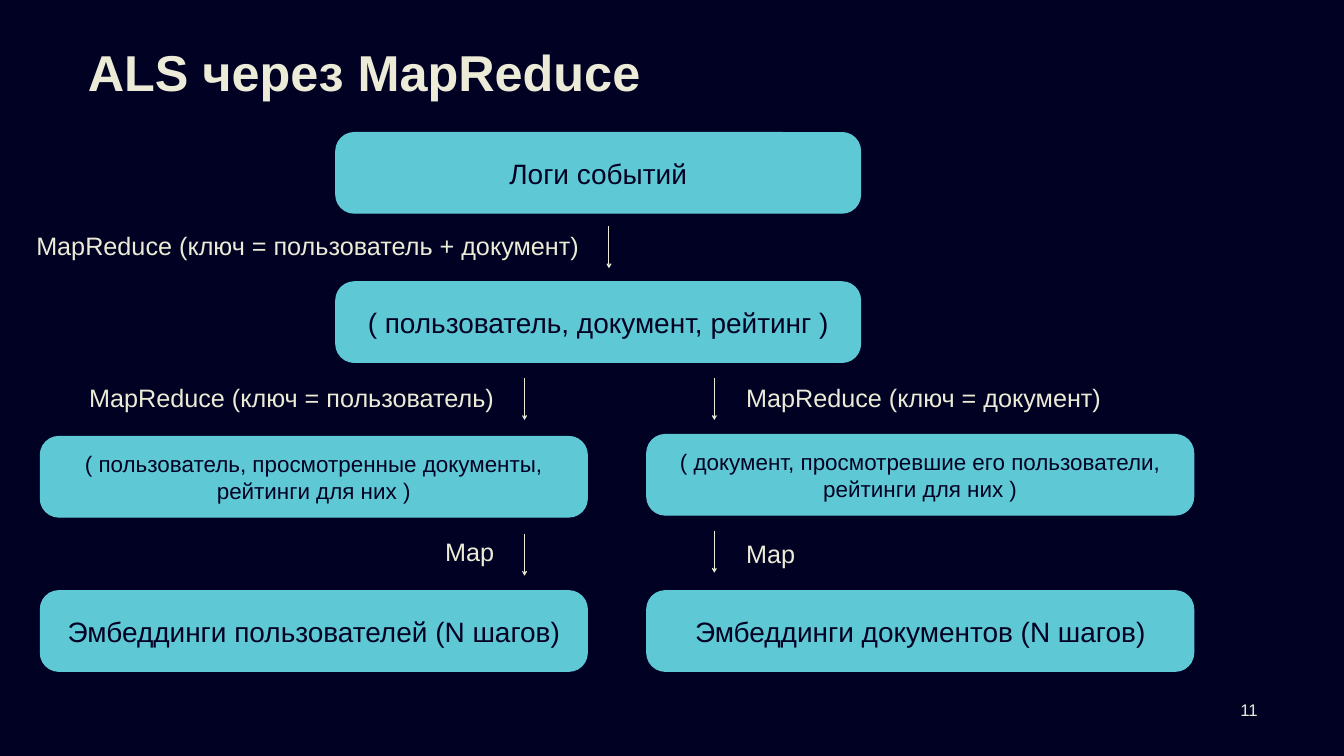
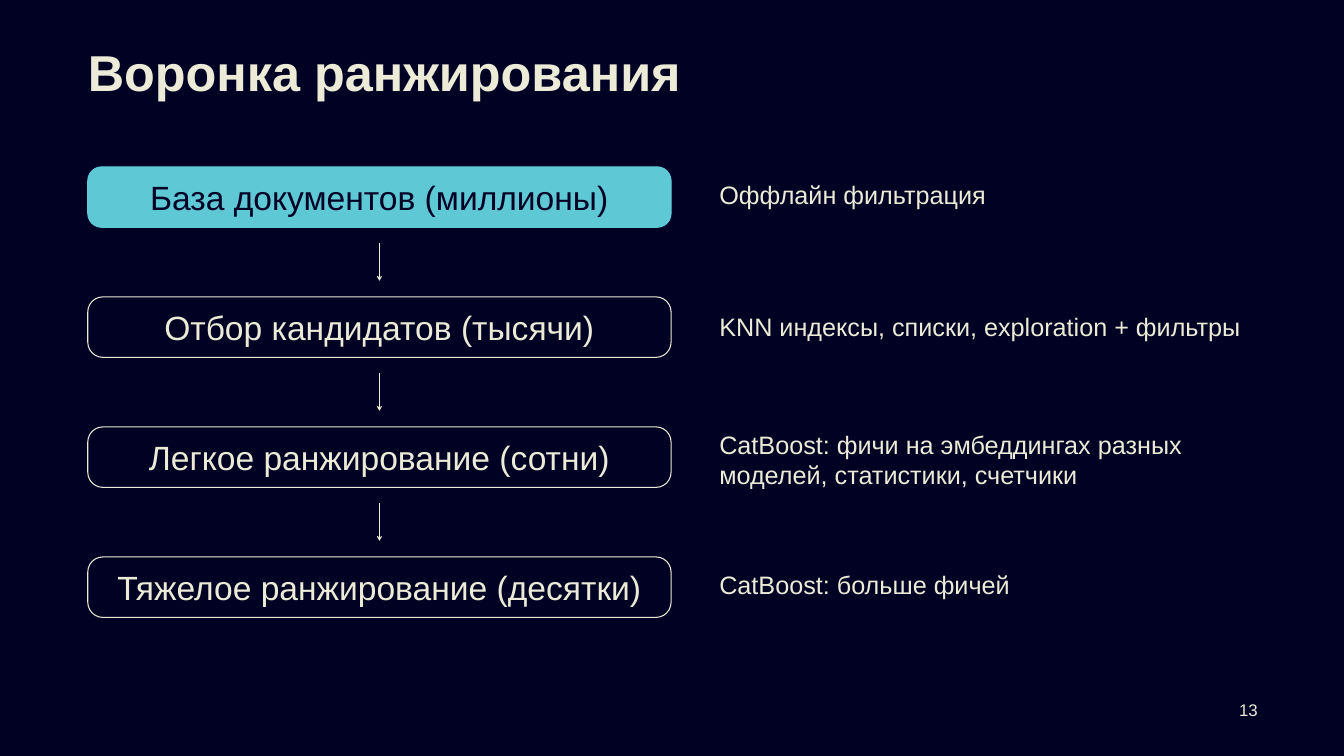
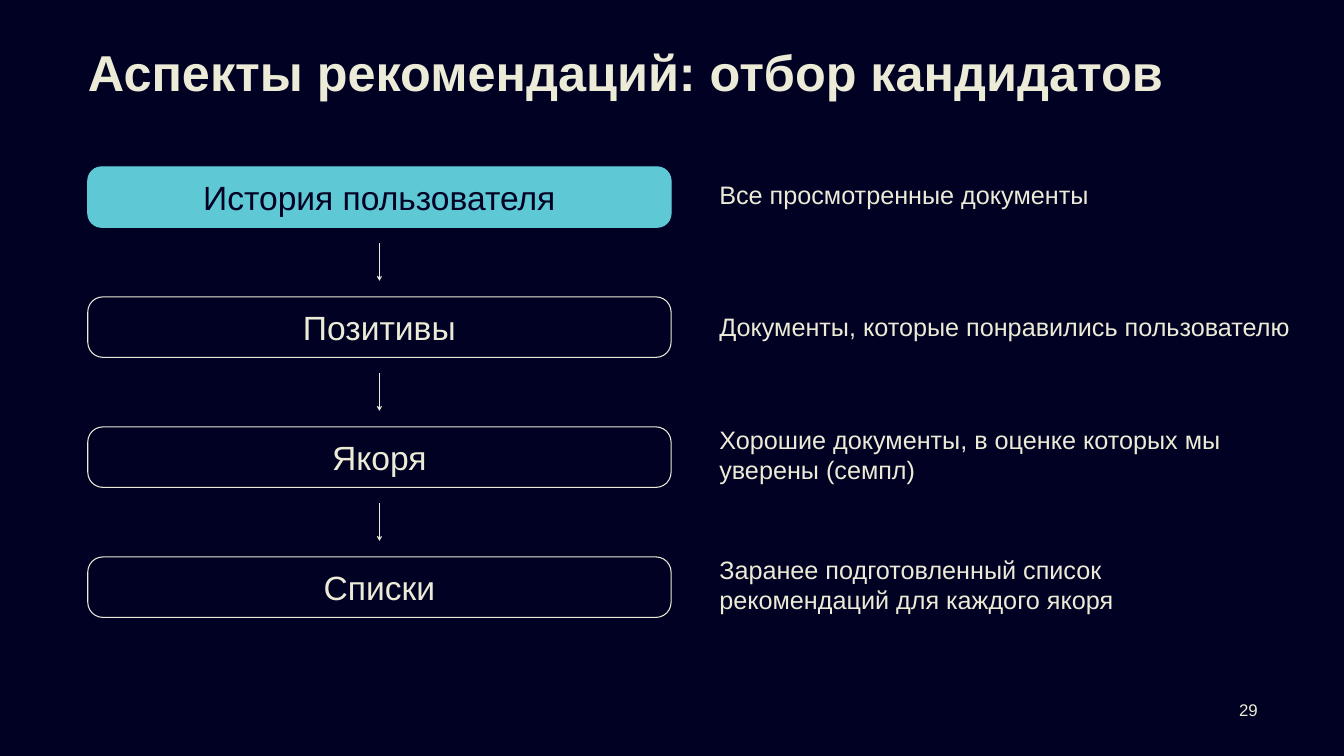
import collections

import lxml.etree
import pptx
import pptx.dml.color
import pptx.enum.shapes
import pptx.enum.text
import pptx.oxml.ns
import pptx.util

Style = collections.namedtuple("Style", "size color align anchor insets bold after")
ALIGN = pptx.enum.text.PP_ALIGN
ANCHOR = pptx.enum.text.MSO_ANCHOR
SHAPE = pptx.enum.shapes.MSO_SHAPE
qn = pptx.oxml.ns.qn


class Theme:
    font = "Arial"
    night = pptx.dml.color.RGBColor.from_string("010123")
    cream = pptx.dml.color.RGBColor.from_string("EBEBD7")
    teal = pptx.dml.color.RGBColor.from_string("5EC9D5")
    stroke = pptx.util.Pt(1.5)
    box_insets = (0.1, 0.24, 0.1, 0.24)
    title = Style(72, cream, ALIGN.LEFT, ANCHOR.TOP, (0, 0.22, 0, 0), True, 0)
    number = Style(24, cream, ALIGN.RIGHT, ANCHOR.MIDDLE, (0, 0.16, 0, 0), False, 0)
    note = Style(36, cream, ALIGN.LEFT, ANCHOR.TOP, (0.1, 0.05, 0.1, 0.05), False, 6)
    data = Style(40, night, ALIGN.CENTER, ANCHOR.MIDDLE, box_insets, False, 0)
    long_data = data._replace(size=32)
    source = data._replace(size=48)
    stage = source._replace(color=cream)


deck = pptx.Presentation()
deck.slide_width = pptx.util.Inches(26.66)
deck.slide_height = pptx.util.Inches(15)
backdrop = deck.slide_master.background.fill
backdrop.solid()
backdrop.fore_color.rgb = Theme.night

# The grid has 100 columns and 100 rows
COL = deck.slide_width / 100
ROW = deck.slide_height / 100


def write(slide, text, area, style, outline=None, fill=None, rounding=0.23):
    """Put text on a grid area (left, top, width, height), boxed if outlined."""
    left, top, width, height = area
    place = int(left * COL), int(top * ROW), int(width * COL), int(height * ROW)
    if outline is None:
        block = slide.shapes.add_textbox(*place)
    else:
        block = slide.shapes.add_shape(SHAPE.ROUNDED_RECTANGLE, *place)
        block.adjustments[0] = rounding
        block.shadow.inherit = False
        block.line.color.rgb = outline
        block.line.width = Theme.stroke
        if fill is None:
            block.fill.background()
        else:
            block.fill.solid()
            block.fill.fore_color.rgb = fill
    frame = block.text_frame
    frame.text = text
    frame.word_wrap = True
    frame.vertical_anchor = style.anchor
    (frame.margin_left, frame.margin_top,
     frame.margin_right, frame.margin_bottom) = map(pptx.util.Inches, style.insets)
    paragraph = frame.paragraphs[0]
    paragraph.alignment = style.align
    paragraph.space_after = pptx.util.Pt(style.after)
    font = paragraph.runs[0].font
    font.name = Theme.font
    font.size = pptx.util.Pt(style.size)
    font.bold = style.bold
    font.color.rgb = style.color


def arrow_down(slide, x, top, length):
    arrow = slide.shapes.add_connector(
        pptx.enum.shapes.MSO_CONNECTOR.STRAIGHT,
        int(x * COL), int(top * ROW), int(x * COL), int((top + length) * ROW))
    arrow.line.color.rgb = Theme.cream
    arrow.line.width = Theme.stroke
    properties = arrow._element.spPr
    lxml.etree.SubElement(properties.find(qn("a:ln")), qn("a:tailEnd"), type="arrow")
    lxml.etree.SubElement(properties, qn("a:effectLst"))


# Titles and page numbers
slides = []
for title, number in [
    ("ALS через MapReduce", "11"),
    ("Воронка ранжирования", "13"),
    ("Аспекты рекомендаций: отбор кандидатов", "29"),
]:
    slide = deck.slides.add_slide(deck.slide_layouts[6])
    write(slide, title, (6.53, 4, 87.1, 10.6), Theme.title)
    write(slide, number, (89.08, 92, 4.5, 2.6), Theme.number)
    slides.append(slide)
map_reduce, *chains = slides

# ALS: shared data on top, then a user branch and a document branch
SHARED, USERS, DOCUMENTS = (24.98, 39.05), (3, 40.7), (48.12, 40.7)
DATA_HEIGHT = 10.67
for text, (left, width), top, style in [
    ("Логи событий", SHARED, 17.53, Theme.data),
    ("( пользователь, документ, рейтинг )", SHARED, 37.27, Theme.data),
    ("( пользователь, просмотренные документы, рейтинги для них )",
     USERS, 57.73, Theme.long_data),
    ("( документ, просмотревшие его пользователи, рейтинги для них )",
     DOCUMENTS, 57.47, Theme.long_data),
    ("Эмбеддинги пользователей (N шагов)", USERS, 78.13, Theme.data),
    ("Эмбеддинги документов (N шагов)", DOCUMENTS, 78.13, Theme.data),
]:
    write(map_reduce, text, (left, top, width, DATA_HEIGHT), style, Theme.teal, Theme.teal)

for operation, area, arrow_x, arrow_top in [
    ("MapReduce (ключ = пользователь + документ)",
     (2.33, 30.13, 43.29, 12.07), 45.31, 29.93),
    ("MapReduce (ключ = пользователь)", (6.26, 50.2, 33.31, 12.07), 39.03, 50),
    ("MapReduce (ключ = документ)", (55.14, 50.27, 30.91, 12.07), 53.15, 50),
    ("Map", (32.75, 70.67, 7.46, 7.53), 39.03, 70.6),
    ("Map", (55.14, 70.93, 7.46, 7.53), 53.15, 70.2),
]:
    write(map_reduce, operation, area, Theme.note)
    arrow_down(map_reduce, arrow_x, arrow_top, 5.55)

# Chains: stage, its note, and the note's top and width
funnel = [
    ("База документов (миллионы)", "Оффлайн фильтрация", 23.33, 42.27),
    ("Отбор кандидатов (тысячи)", "KNN индексы, списки, exploration + фильтры",
     40.87, 42.27),
    ("Легкое ранжирование (сотни)",
     "CatBoost: фичи на эмбеддингах разных моделей, статистики, счетчики",
     56.47, 40.36),
    ("Тяжелое ранжирование (десятки)", "CatBoost: больше фичей", 75, 28.17),
]
candidates = [
    ("История пользователя", "Все просмотренные документы", 23.33, 42.27),
    ("Позитивы", "Документы, которые понравились пользователю", 40.87, 43.85),
    ("Якоря", "Хорошие документы, в оценке которых мы уверены (семпл)", 55.8, 40.36),
    ("Списки", "Заранее подготовленный список рекомендаций для каждого якоря",
     72.93, 40.47),
]
STAGE_LEFT, STAGE_WIDTH, STAGE_HEIGHT = 6.53, 43.4, 8
FIRST_TOP, STEP = 22.07, 17.2
for slide, stages in zip(chains, [funnel, candidates]):
    for i, (stage, note, note_top, note_width) in enumerate(stages):
        top = FIRST_TOP + i * STEP
        area = (STAGE_LEFT, top, STAGE_WIDTH, STAGE_HEIGHT)
        if i == 0:
            write(slide, stage, area, Theme.source, Theme.teal, Theme.teal)
        else:
            write(slide, stage, area, Theme.stage, Theme.cream, rounding=0.25)
            arrow_down(slide, STAGE_LEFT + STAGE_WIDTH / 2, top - 7.13, 5)
        write(slide, note, (53.15, note_top, note_width, 7.53), Theme.note)

deck.save("out.pptx")
